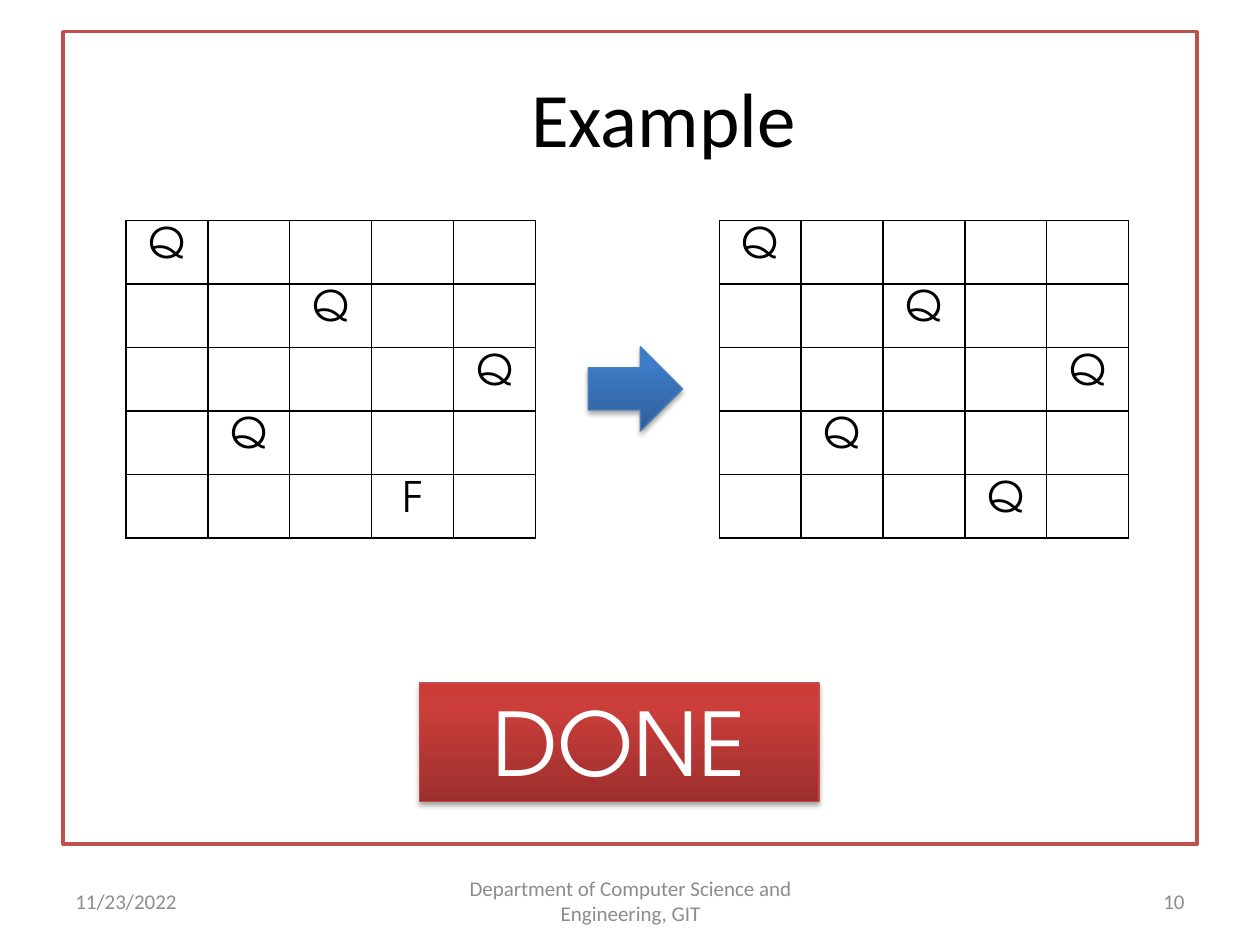
from copy import deepcopy
from dataclasses import dataclass

from lxml import etree
from pptx import Presentation
from pptx.dml.color import RGBColor
from pptx.enum import shapes, text
from pptx.oxml import ns
from pptx.util import Cm, Pt


@dataclass(frozen=True)
class Theme:
    heading_font: str = "Calibri"
    board_font: str = "TeX Gyre Adventor"
    ink: str = "000000"
    paper: str = "FFFFFF"
    muted: str = "8C8C8C"
    frame: str = "C0504D"
    title_size: float = 44
    banner_size: float = 50
    queen_size: float = 24
    footer_size: float = 12
    red_stops: tuple = ((0, "9C2F2D"), (80, "CB3E3A"), (100, "CE3B37"))
    red_edge: str = "BF4C48"
    blue_stops: tuple = ((0, "2F5F99"), (80, "3D7CC7"), (100, "3A7CCB"))
    blue_edge: str = "4B7EBC"


@dataclass(frozen=True)
class Box:
    left: float
    top: float
    width: float
    height: float

    def lengths(self) -> tuple:
        return Cm(self.left), Cm(self.top), Cm(self.width), Cm(self.height)


@dataclass(frozen=True)
class Board:
    left: float
    last_mark: str


@dataclass(frozen=True)
class Footer:
    wording: str
    left: float
    width: float
    align: text.PP_ALIGN


THEME = Theme()
LEFT, CENTER, RIGHT = text.PP_ALIGN.LEFT, text.PP_ALIGN.CENTER, text.PP_ALIGN.RIGHT
QUEEN_COLUMNS = (0, 2, 4, 1, 3)
BOARD_TOP, COLUMN_WIDTH, ROW_HEIGHT = 4.45, 1.65, 1.28
BOARDS = (Board(2.54, "F"), Board(14.5, "Q"))
FOOTERS = (
    Footer("11/23/2022", 1.27, 5.92, LEFT),
    Footer("Department of Computer Science and Engineering, GIT", 8.69, 8.05, CENTER),
    Footer("10", 18.21, 5.92, RIGHT),
)


def write(frame, wording: str, font: str, size: float, color: str, align) -> None:
    frame.text = wording
    paragraph = frame.paragraphs[0]
    paragraph.alignment = align
    for run in paragraph.runs:
        run.font.name = font
        run.font.size = Pt(size)
        run.font.color.rgb = RGBColor.from_string(color)


def add_label(slide, box: Box, wording: str, size: float, color: str, align):
    frame = slide.shapes.add_textbox(*box.lengths()).text_frame
    frame.word_wrap = True
    frame.vertical_anchor = text.MSO_ANCHOR.MIDDLE
    write(frame, wording, THEME.heading_font, size, color, align)
    return frame


def add_outlined(slide, preset, box: Box, edge: str, width: float):
    outlined = slide.shapes.add_shape(preset, *box.lengths())
    outlined.shadow.inherit = False
    outlined.line.color.rgb = RGBColor.from_string(edge)
    outlined.line.width = Pt(width)
    return outlined


def add_glossy(slide, preset, box: Box, stops: tuple, edge: str):
    glossy = add_outlined(slide, preset, box, edge, 0.75)
    glossy.fill.gradient()
    glossy.fill.gradient_angle = 90
    properties = glossy._element.spPr
    stop_list = properties.find(".//" + ns.qn("a:gsLst"))
    stop_list.append(deepcopy(stop_list[0]))
    for stop, (position, color) in zip(glossy.fill.gradient_stops, stops):
        stop.position = position / 100
        stop.color.rgb = RGBColor.from_string(color)
    effects = properties.find(ns.qn("a:effectLst"))
    shadow = etree.SubElement(
        effects, ns.qn("a:outerShdw"), blurRad=str(Pt(3.1)), dist=str(Pt(1.8)),
        dir="5400000", rotWithShape="0")
    tint = etree.SubElement(shadow, ns.qn("a:srgbClr"), val=THEME.ink)
    etree.SubElement(tint, ns.qn("a:alpha"), val="35000")
    return glossy


def add_borders(cell) -> None:
    properties = cell._tc.get_or_add_tcPr()
    for side in ("a:lnL", "a:lnR", "a:lnT", "a:lnB"):
        border = etree.SubElement(properties, ns.qn(side), w=str(Pt(1)))
        fill = etree.SubElement(border, ns.qn("a:solidFill"))
        etree.SubElement(fill, ns.qn("a:srgbClr"), val=THEME.ink)


def add_board(slide, board: Board) -> None:
    count = len(QUEEN_COLUMNS)
    box = Box(board.left, BOARD_TOP, count * COLUMN_WIDTH, count * ROW_HEIGHT)
    grid = slide.shapes.add_table(count, count, *box.lengths()).table
    grid.first_row = grid.horz_banding = False
    for column in grid.columns:
        column.width = Cm(COLUMN_WIDTH)
    for row in grid.rows:
        row.height = Cm(ROW_HEIGHT)
    for cell in grid.iter_cells():
        add_borders(cell)
        cell.fill.background()
    marks = "Q" * (count - 1) + board.last_mark
    for row, (column, mark) in enumerate(zip(QUEEN_COLUMNS, marks)):
        write(grid.cell(row, column).text_frame, mark, THEME.board_font,
              THEME.queen_size, THEME.ink, CENTER)


def build() -> None:
    deck = Presentation()
    deck.slide_width, deck.slide_height = Cm(25.4), Cm(19.05)
    slide = deck.slides.add_slide(deck.slide_layouts[6])

    border = add_outlined(slide, shapes.MSO_SHAPE.RECTANGLE,
                          Box(1.27, 0.64, 22.86, 16.38), THEME.frame, 2)
    border.fill.solid()
    border.fill.fore_color.rgb = RGBColor.from_string(THEME.paper)

    title = add_label(slide, Box(1.27, 0.76, 22.86, 3.18), "Example",
                      THEME.title_size, THEME.ink, CENTER)
    indent = title.paragraphs[0]._p.get_or_add_pPr()
    indent.set("marL", str(Cm(1.35)))
    indent.set("indent", "0")

    for board in BOARDS:
        add_board(slide, board)

    done = add_glossy(slide, shapes.MSO_SHAPE.RECTANGLE, Box(8.46, 13.77, 8.05, 2.39),
                      THEME.red_stops, THEME.red_edge).text_frame
    done.vertical_anchor = text.MSO_ANCHOR.TOP
    done.auto_size = text.MSO_AUTO_SIZE.SHAPE_TO_FIT_TEXT
    write(done, "DONE", THEME.board_font, THEME.banner_size, THEME.paper, CENTER)

    add_glossy(slide, shapes.MSO_SHAPE.RIGHT_ARROW, Box(11.86, 6.99, 1.9, 1.7),
               THEME.blue_stops, THEME.blue_edge)

    for footer in FOOTERS:
        add_label(slide, Box(footer.left, 17.65, footer.width, 1.02), footer.wording,
                  THEME.footer_size, THEME.muted, footer.align)

    deck.save("out.pptx")


build()
